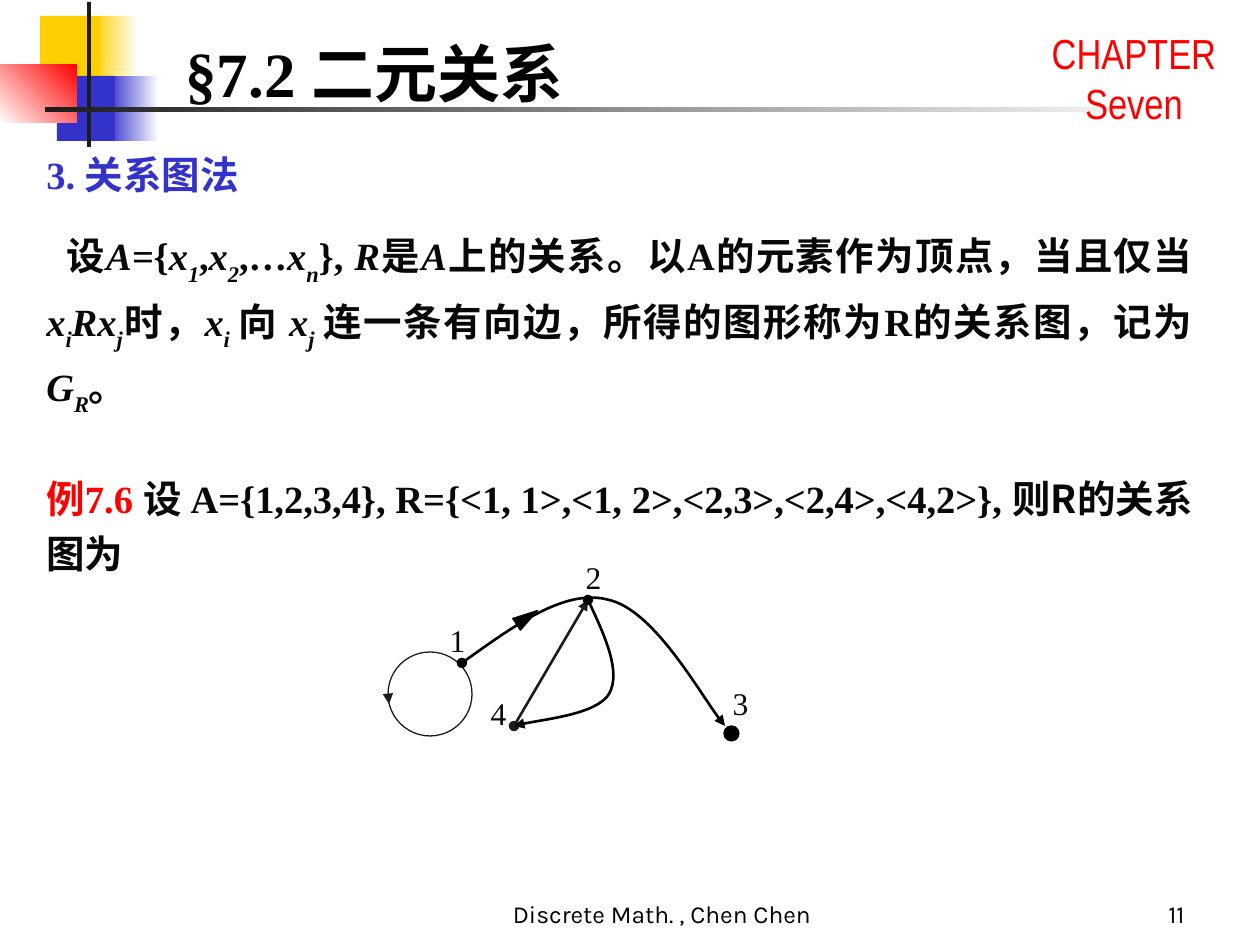
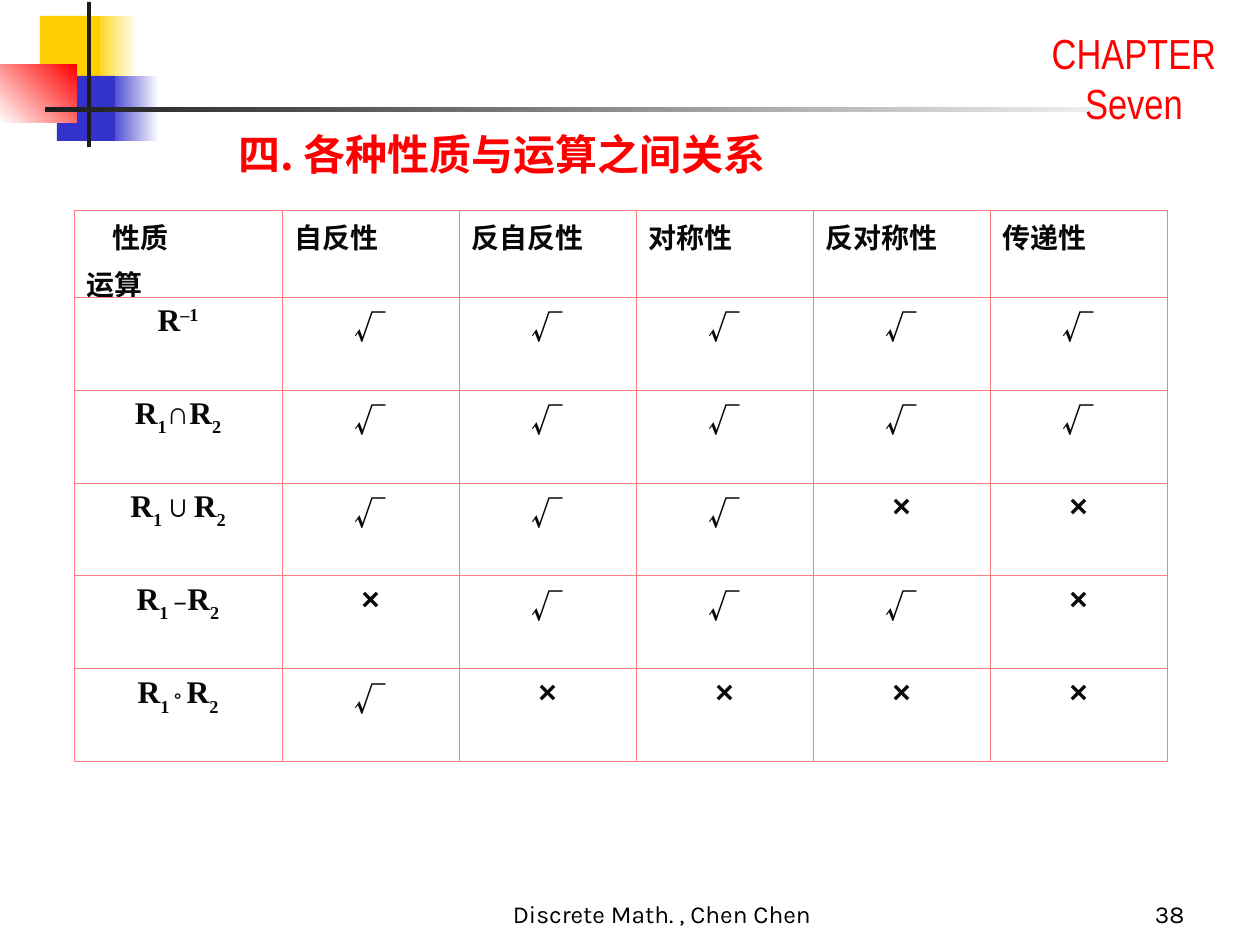
from lxml import etree
from pptx import Presentation
from pptx import util as u
from pptx.dml.color import RGBColor
from pptx.enum import shapes, text
from pptx.oxml.ns import qn

SCALE = 914400 / 126  # EMU per px
COLORS = {
    "yellow": "FFCF01", "blue": "3333CC", "red": "FF0000", "white": "FFFFFF",
    "black": "000000", "ink": "080808", "line": "1C1C1C", "grid": "FF7C80",
}
SERIF, CJK = "Times New Roman", "Noto Sans CJK SC"
ALIGN = {"l": text.PP_ALIGN.LEFT, "c": text.PP_ALIGN.CENTER,
         "r": text.PP_ALIGN.RIGHT, "j": text.PP_ALIGN.JUSTIFY}
ANCHOR = {"t": text.MSO_ANCHOR.TOP, "m": text.MSO_ANCHOR.MIDDLE, "b": text.MSO_ANCHOR.BOTTOM}

# One-letter marks that a run may carry: (text, marks)
MARKS = {
    "i": {"italic": True}, "-": {"baseline": -30}, "+": {"baseline": 30},
    "c": {"font": CJK}, "a": {"font": "Arial"}, "r": {"color": "red"},
    "d": {"font": "Vollkorn", "size": 14}, "o": {"font": "Arial", "baseline": -10},
}


def px(value):
    return u.Emu(round(value * SCALE))


def rgb(name):
    return RGBColor.from_string(COLORS[name])


def write(frame, runs, align="l", before=0, spacing=None, indent=0, **run_format):
    """Write one paragraph; an empty frame gets it as its first."""
    first = not frame.paragraphs[0].runs
    paragraph = frame.paragraphs[0] if first else frame.add_paragraph()
    paragraph.alignment = ALIGN[align]
    if not first:
        paragraph.space_before = u.Pt(before)
    if spacing:
        paragraph.line_spacing = spacing
    if indent:
        paragraph._p.get_or_add_pPr().set("indent", str(px(indent)))
    for item in [runs] if isinstance(runs, str) else runs:
        words, marks = (item, "") if isinstance(item, str) else item
        look = dict(size=18, font=SERIF, color="ink", bold=False, italic=False, baseline=0)
        look.update(run_format)
        for mark in marks:
            look.update(MARKS[mark])
        run = paragraph.add_run()
        run.text = words
        run.font.size, run.font.name = u.Pt(look["size"]), look["font"]
        run.font.bold, run.font.italic = look["bold"], look["italic"]
        run.font.color.rgb = rgb(look["color"])
        properties = run._r.get_or_add_rPr()
        etree.SubElement(properties, qn("a:ea")).set("typeface", CJK)
        if look["baseline"]:
            properties.set("baseline", str(look["baseline"] * 1000))


class Deck:
    def __init__(self):
        self.presentation = Presentation()
        self.presentation.slide_width, self.presentation.slide_height = px(1260), px(945)
        self.slide = None

    def new_slide(self, number):
        self.slide = self.presentation.slides.add_slide(self.presentation.slide_layouts[6])
        # Corner ornament and title rule
        self.shape(93, 16, 45, 66, fill=("yellow", "white"))
        self.shape(108, 76, 51, 65, fill=("blue", "white"))
        self.shape(40, 16, 60, 66, fill="yellow")
        self.shape(57, 76, 58, 65, fill="blue")
        self.shape(0, 65, 77, 58, fill=("white", "red"), angle=45)
        self.shape(87, 2, 4, 145, fill="line")
        self.shape(45, 107, 1134, 5, fill=("line", "white"))
        # Chapter mark and footer
        self.label(1008, 21, 252, 113, "CHAPTER Seven", align="c", size=24,
                   font="Arial Narrow", color="red")
        footer = dict(anchor="b", size=14, font="Karla", color="black")
        self.label(462, 872, 400, 63, "Discrete Math. , Chen Chen", align="c", **footer)
        self.label(935, 872, 262, 63, str(number), align="r", **footer)

    def shape(self, x, y, width, height, kind="RECTANGLE", fill=None, line=None,
              angle=0, rotation=0):
        shape = self.slide.shapes.add_shape(
            shapes.MSO_SHAPE[kind], px(x), px(y), px(width), px(height))
        shape.shadow.inherit = False
        shape.rotation = rotation
        if isinstance(fill, tuple):
            shape.fill.gradient()
            shape.fill.gradient_angle = angle
            for stop, position, color in zip(shape.fill.gradient_stops, (0, 1), fill):
                stop.position, stop.color.rgb = position, rgb(color)
        else:
            self.paint(shape.fill, fill)
        self.paint(shape.line.fill, line)
        if line:
            shape.line.width = u.Pt(0.75)
        return shape

    def paint(self, fill, color):
        if color:
            fill.solid()
            fill.fore_color.rgb = rgb(color)
        else:
            fill.background()

    def box(self, x, y, width, height, anchor="t", wrap=True, margins=True):
        frame = self.slide.shapes.add_textbox(px(x), px(y), px(width), px(height)).text_frame
        frame.word_wrap = wrap
        frame.vertical_anchor = ANCHOR[anchor]
        if not margins:
            frame.margin_left = frame.margin_right = frame.margin_top = frame.margin_bottom = 0
        return frame

    def label(self, x, y, width, height, runs, anchor="t", wrap=True, margins=True, **look):
        write(self.box(x, y, width, height, anchor, wrap, margins), runs, **look)

    def stroke(self, shape, color, width, head, tail):
        shape.line.color.rgb = rgb(color)
        shape.line.width = u.Pt(width)
        line = shape.line._get_or_add_ln()
        for tag, kind in (("a:headEnd", head), ("a:tailEnd", tail)):
            if kind:
                etree.SubElement(line, qn(tag)).set("type", kind)

    def connector(self, start, end, color="line", width=1.5, head=None, tail=None):
        connector = self.slide.shapes.add_connector(
            shapes.MSO_CONNECTOR.STRAIGHT, *map(px, start + end))
        self.stroke(connector, color, width, head, tail)
        etree.SubElement(connector._element.spPr, qn("a:effectLst"))

    def curve(self, start, *points):
        """Draw cubic curves; every three points make one segment."""
        builder = self.slide.shapes.build_freeform(*map(px, start))
        builder.add_line_segments([tuple(map(px, point)) for point in points], close=False)
        shape = builder.convert_to_shape()
        shape.shadow.inherit = False
        shape.fill.background()
        self.stroke(shape, "black", 1.5, "oval", "triangle")
        lines = list(shape._element.iter(qn("a:lnTo")))
        for first in range(0, len(lines), 3):
            segment = etree.Element(qn("a:cubicBezTo"))
            lines[first].addprevious(segment)
            for line in lines[first:first + 3]:
                segment.append(line[0])
                line.getparent().remove(line)

    def table(self, x, y, columns, rows):
        frame = self.slide.shapes.add_table(
            len(rows), len(columns), px(x), px(y), px(sum(columns)), px(sum(rows)))
        table = frame.table
        table.first_row = table.horz_banding = False
        for column, width in zip(table.columns, columns):
            column.width = px(width)
        for row, height in zip(table.rows, rows):
            row.height = px(height)
        for cell in table.iter_cells():
            properties = cell._tc.get_or_add_tcPr()
            for side in ("L", "R", "T", "B"):
                line = etree.SubElement(properties, qn("a:ln" + side), w=str(u.Pt(0.45)))
                fill = etree.SubElement(line, qn("a:solidFill"))
                etree.SubElement(fill, qn("a:srgbClr")).set("val", COLORS["grid"])
            cell.fill.background()
        return table


def relation_graph(deck):
    deck.new_slide(11)
    # Definition and example
    frame = deck.box(34, 145, 1171, 438)
    body = dict(align="j", size=22, bold=True)
    write(frame, ["3. ", ("关系图法", "c")], color="blue", **body)
    write(frame, [
        "设", ("A=", "i"), "{", ("x", "i"), ("1", "i-"), ",", ("x", "i"), ("2", "i-"), ",…",
        ("x", "i"), ("n", "i-"), "}, ", ("R", "i"), "是", ("A", "i"),
        "上的关系。以A的元素作为顶点，当且仅当", ("x", "i"), ("i", "i-"), ("Rx", "i"),
        ("j", "i-"), "时，", ("x", "i"), ("i ", "i-"), "向 ", ("x", "i"), ("j ", "i-"),
        "连一条有向边，所得的图形称为R的关系图，记为", ("G", "i"), ("R", "i-"), "。",
    ], before=13.8, spacing=1.2, indent=20, **body)
    write(frame, [
        ("例", "cr"), ("7.6 ", "r"), ("设 ", "c"),
        "A={1,2,3,4}, R={<1, 1>,<1, 2>,<2,3>,<2,4>,<4,2>}, ", ("则R的关系图为", "c"),
    ], before=27.5, spacing=1.2, **body)

    # Vertices
    deck.shape(724, 726, 15, 15, "OVAL", "black", "black")
    for name, x, y in (("1", 431, 621), ("2", 567, 558), ("4", 472, 694), ("3", 714, 684)):
        deck.label(x, y, 53, 38, name, anchor="m", margins=False, align="c")

    # Edges
    deck.connector((388, 694), (389, 704), width=0.75, tail="triangle")
    deck.shape(520, 605, 14, 25, "ISOSCELES_TRIANGLE", "black", "black", rotation=56.7)
    deck.shape(388, 652, 84, 84, "OVAL", line="line")
    deck.connector((588, 600), (514, 726), head="triangle", tail="oval")
    deck.curve((588, 600), (605, 636), (621, 673), (609, 694),
               (597, 714), (530, 721), (514, 726))
    deck.curve((462, 663), (514, 626), (566, 588), (609, 600),
               (653, 610), (706, 704), (725, 726))

    deck.label(173, 28, 418, 88, "§7.2 二元关系", wrap=False, size=36,
               color="black", bold=True)


def property_table(deck):
    deck.new_slide(38)
    deck.label(226, 122, 791, 63, "四. 各种性质与运算之间关系", align="j",
               size=24, font=CJK, color="red", bold=True)
    table = deck.table(74, 210, [208] + [177] * 5, [87] + [93] * 5)

    # Header row
    header = dict(size=16, font=CJK, bold=True)
    corner = table.cell(0, 0).text_frame
    write(corner, "性质", indent=26, **header)
    write(corner, "运算", before=4, **header)
    for column, name in enumerate(("自反性", "反自反性", "对称性", "反对称性", "传递性"), 1):
        write(table.cell(0, column).text_frame, name, align="j", **header)

    # Operations and the properties they keep
    one, two = ("1", "-"), ("2", "-")
    operations = (
        (["R", ("–1", "+")], "√√√√√"),
        (["R", one, "∩R", two], "√√√√√"),
        (["R", one, "∪R", two], "√√√××"),
        (["R", ("1 ", "-"), ("–", "d"), "R", two], "×√√√×"),
        (["R", ("1 ", "-"), ("° ", "o"), "R", two], "√××××"),
    )
    for row, (operation, results) in enumerate(operations, 1):
        write(table.cell(row, 0).text_frame, operation, align="c", bold=True)
        for column, result in enumerate(results, 1):
            write(table.cell(row, column).text_frame, [(result, "c" if result == "√" else "a")],
                  align="c", bold=True)


def main():
    deck = Deck()
    relation_graph(deck)
    property_table(deck)
    deck.presentation.save("out.pptx")


if __name__ == "__main__":
    main()
